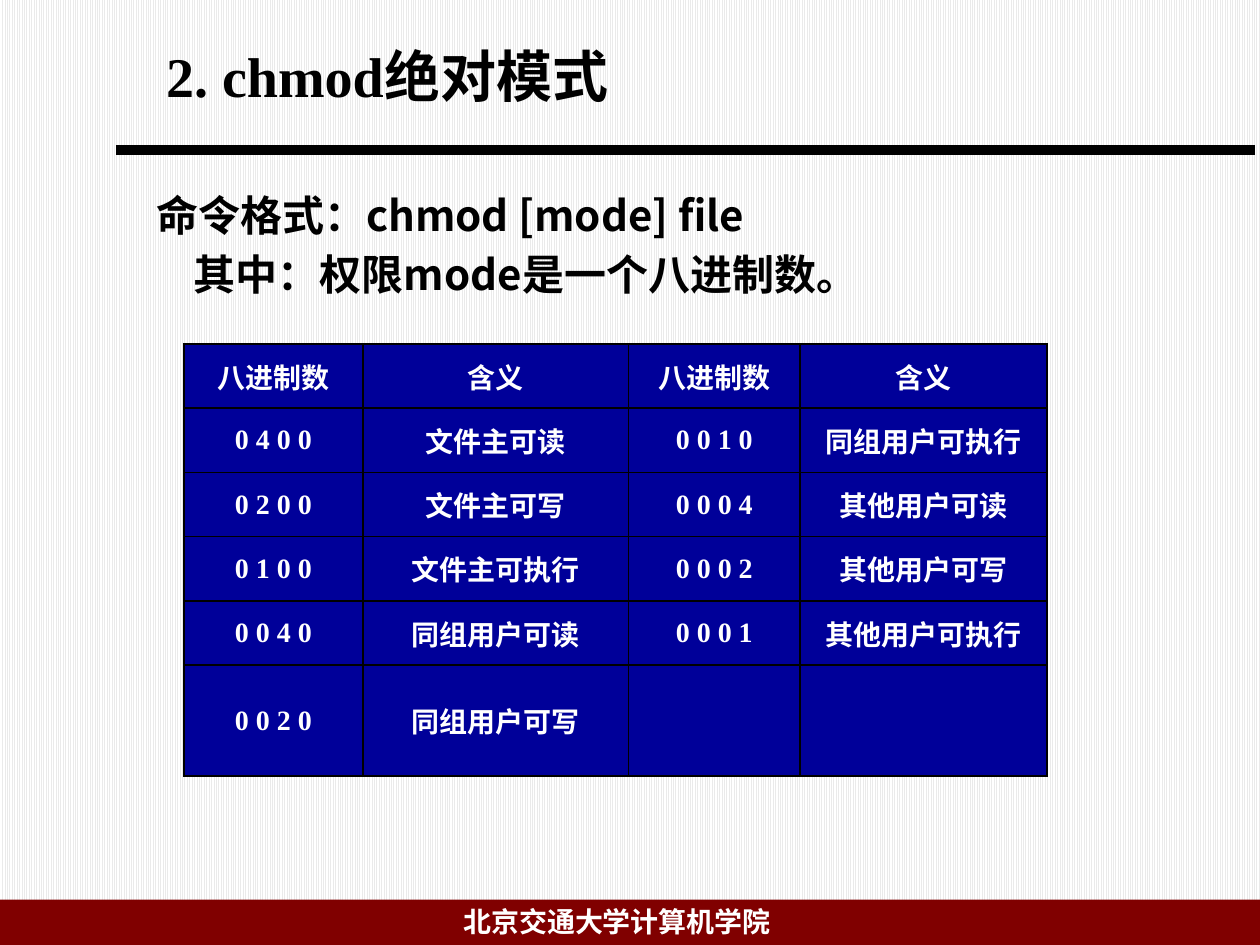
from lxml import etree
from pptx import Presentation
from pptx.dml.color import RGBColor
from pptx.enum.dml import MSO_PATTERN
from pptx.enum.shapes import MSO_CONNECTOR, MSO_SHAPE
from pptx.enum.text import MSO_ANCHOR, PP_ALIGN
from pptx.oxml import parse_xml
from pptx.oxml.ns import nsdecls, qn
from pptx.util import Inches, Pt

SERIF, SANS = "Times New Roman", "Noto Sans CJK SC"
BLACK, WHITE, NAVY, MAROON = "000000", "FFFFFF", "000099", "800000"

TITLE = "2. chmod绝对模式"
BODY = ["命令格式：chmod [mode] file", "其中：权限mode是一个八进制数。"]
FOOTER = "北京交通大学计算机学院"
MODES = [
    ("八进制数", "含义", "八进制数", "含义"),
    ("0 4 0 0", "文件主可读", "0 0 1 0", "同组用户可执行"),
    ("0 2 0 0", "文件主可写", "0 0 0 4", "其他用户可读"),
    ("0 1 0 0", "文件主可执行", "0 0 0 2", "其他用户可写"),
    ("0 0 4 0", "同组用户可读", "0 0 0 1", "其他用户可执行"),
    ("0 0 2 0", "同组用户可写", "", ""),
]
COL_WIDTHS = [1.42, 2.11, 1.36, 1.96]
ROW_HEIGHTS = [0.51] * 5 + [0.88]


def rgb(color):
    return RGBColor.from_string(color)


def inches(*values):
    return [Inches(v) for v in values]


def write(tf, lines, size, color=BLACK, font=SERIF, align=PP_ALIGN.LEFT, spacing=None):
    """Fill a text frame with one bold paragraph per line."""
    for i, line in enumerate(lines):
        p = tf.paragraphs[0] if i == 0 else tf.add_paragraph()
        p.alignment = align
        p.line_spacing = spacing
        r = p.add_run()
        r.text = line
        r.font.name, r.font.size, r.font.bold = font, Pt(size), True
        r.font.color.rgb = rgb(color)
        ea = etree.SubElement(r.font._element, qn("a:ea"))
        ea.set("typeface", SANS)


def add_text(slide, box, lines, size, **style):
    tf = slide.shapes.add_textbox(*inches(*box)).text_frame
    tf.word_wrap = True
    write(tf, lines, size, **style)
    return tf


def set_borders(cell, color, width):
    tc_pr = cell._tc.get_or_add_tcPr()
    for i, side in enumerate(("lnL", "lnR", "lnT", "lnB")):
        tc_pr.insert(i, parse_xml(
            f'<a:{side} {nsdecls("a")} w="{Pt(width)}"><a:solidFill>'
            f'<a:srgbClr val="{color}"/></a:solidFill></a:{side}>'))


def add_mode_table(slide, left, top):
    size = inches(sum(COL_WIDTHS), sum(ROW_HEIGHTS))
    table = slide.shapes.add_table(
        len(MODES), len(COL_WIDTHS), *inches(left, top), *size).table
    for column, width in zip(table.columns, COL_WIDTHS):
        column.width = Inches(width)
    for row, height, texts in zip(table.rows, ROW_HEIGHTS, MODES):
        row.height = Inches(height)
        for cell, text in zip(row.cells, texts):
            cell.fill.solid()
            cell.fill.fore_color.rgb = rgb(NAVY)
            cell.vertical_anchor = MSO_ANCHOR.MIDDLE
            set_borders(cell, BLACK, 1)
            if text:
                write(cell.text_frame, [text], 16, color=WHITE, align=PP_ALIGN.CENTER)


def main():
    prs = Presentation()
    prs.slide_width, prs.slide_height = inches(10, 7.5)
    slide = prs.slides.add_slide(prs.slide_layouts[6])

    fill = slide.background.fill
    fill.patterned()
    fill.pattern = MSO_PATTERN.LIGHT_VERTICAL
    fill.fore_color.rgb, fill.back_color.rgb = rgb("EAEAEA"), rgb(WHITE)

    bar = slide.shapes.add_shape(MSO_SHAPE.RECTANGLE, *inches(0, 7.14, 10, 0.36))
    bar.shadow.inherit = False
    bar.fill.solid()
    bar.fill.fore_color.rgb = rgb(MAROON)
    bar.line.fill.background()

    rule = slide.shapes.add_connector(
        MSO_CONNECTOR.STRAIGHT, *inches(0.92, 1.19, 9.96, 1.19))
    rule.line.color.rgb, rule.line.width = rgb(BLACK), Pt(6)
    etree.SubElement(rule._element.spPr, qn("a:effectLst"))

    add_text(slide, (3.58, 7.13, 3.32, 0.37), [FOOTER], 16, color=WHITE)
    add_text(slide, (1.22, 0.28, 5.29, 0.77), [TITLE], 32)
    body = add_text(slide, (1.14, 1.39, 5.91, 1.21), BODY, 24, font=SANS,
                    spacing=Pt(33.7))
    body.paragraphs[1]._p.get_or_add_pPr().set("marL", str(Inches(0.3)))
    add_mode_table(slide, 1.46, 2.73)

    prs.save("out.pptx")


if __name__ == "__main__":
    main()
